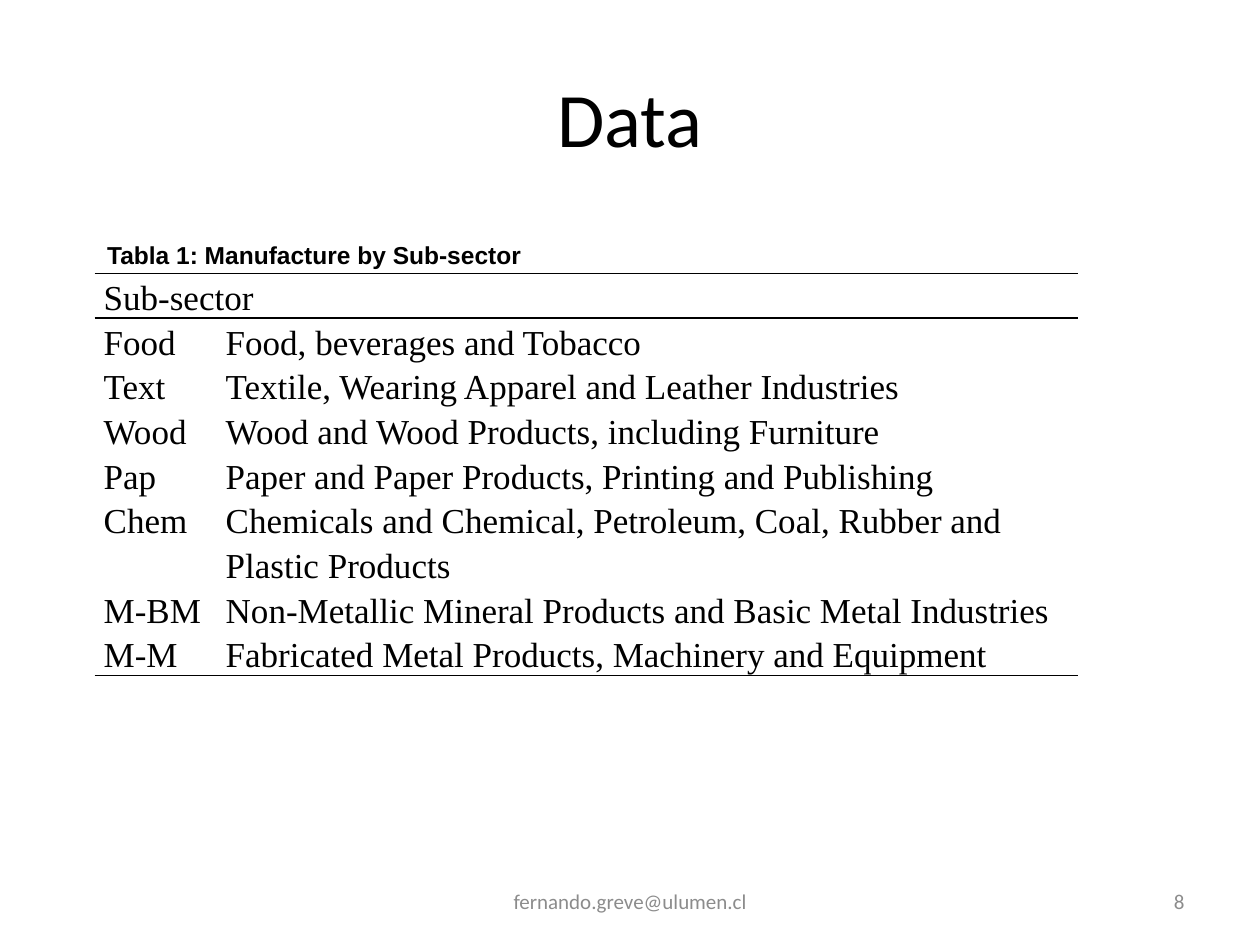
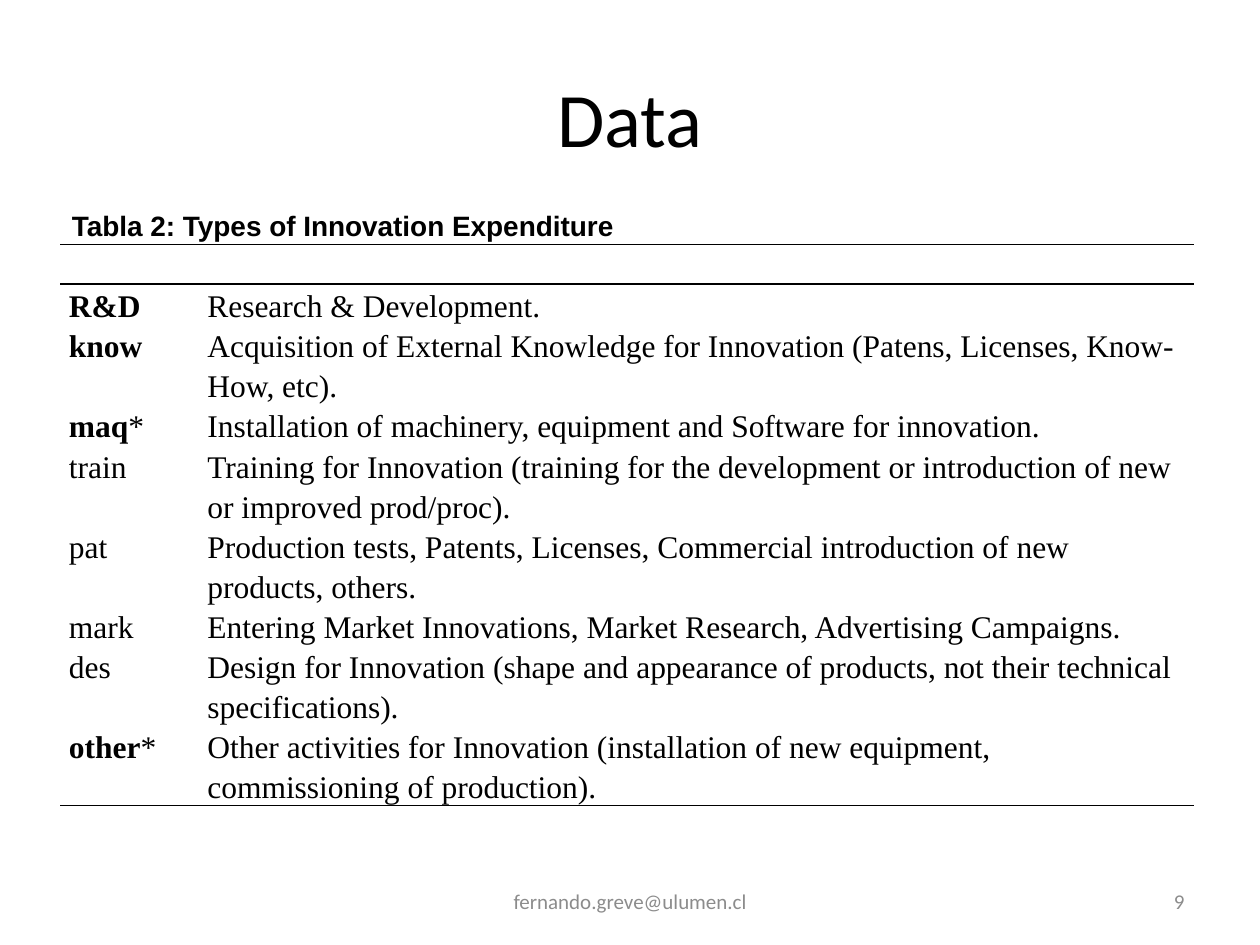
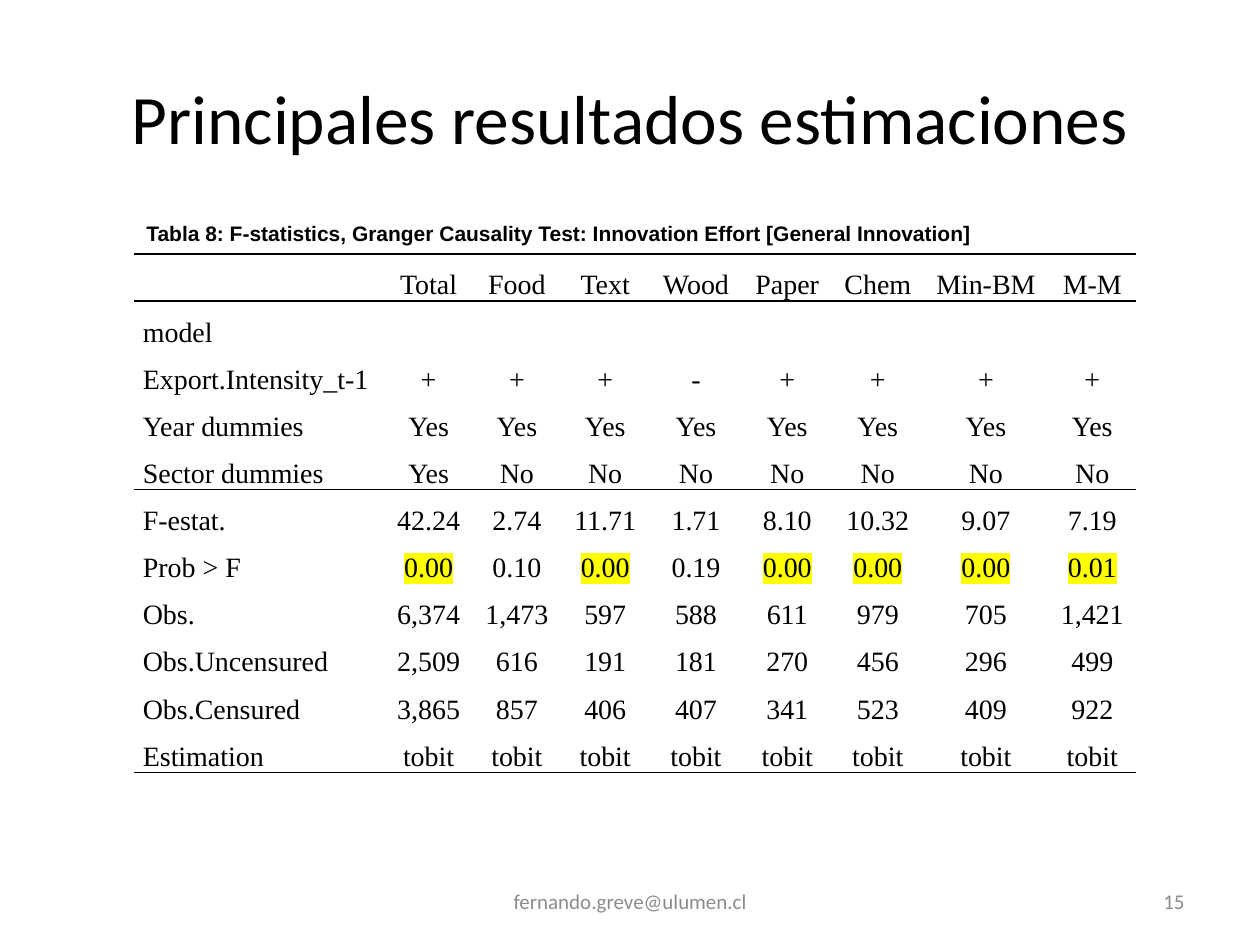
from dataclasses import dataclass
from typing import NamedTuple

from lxml import etree
from pptx import Presentation
from pptx.dml.color import RGBColor
from pptx.enum.text import MSO_ANCHOR, PP_ALIGN
from pptx.oxml.ns import qn
from pptx.util import Cm, Pt

BLACK = RGBColor(0x00, 0x00, 0x00)
GREY = RGBColor(0x8C, 0x8C, 0x8C)
YELLOW = RGBColor(0xFF, 0xFF, 0x00)
LEFT = PP_ALIGN.LEFT
CENTER = PP_ALIGN.CENTER
RIGHT = PP_ALIGN.RIGHT
JUSTIFY = PP_ALIGN.JUSTIFY
MIDDLE = MSO_ANCHOR.MIDDLE
MAIL = "fernando.greve@ulumen.cl"
INSET = Cm(0.18)
LIMIT = 0.05


class Font(NamedTuple):
    name: str
    size: float
    color: RGBColor = BLACK
    bold: bool = False


class Box(NamedTuple):
    left: float
    top: float
    width: float
    height: float


class Bit(NamedTuple):
    text: str
    bold: bool = False
    mark: bool = False


Item = tuple[Bit, ...]

TITLE = Box(1.27, 0.76, 22.86, 3.18)
FOOT = Box(8.68, 17.65, 8.05, 1.02)
NUMBER = Box(18.2, 17.65, 5.93, 1.02)
SMALL = Font("Calibri", 12, GREY)


@dataclass(frozen=True)
class Grid:
    left: float
    top: float
    widths: tuple[float, ...]
    height: float
    size: float
    pitch: float
    rules: tuple[int, ...]
    rows: list[list[Item]]
    first: PP_ALIGN = LEFT
    rest: PP_ALIGN = LEFT


@dataclass(frozen=True)
class Page:
    title: str
    number: str
    label: str
    box: Box
    size: float
    grid: Grid
    scale: float = 44


def plain(*texts: str) -> list[Item]:
    return [(Bit(text),) if text else () for text in texts]


def strong(key: str, text: str, star: str = "") -> list[Item]:
    head = (Bit(key, bold=True),) + ((Bit(star),) if star else ())
    return [head, (Bit(text),)]


def score(label: str, *values: str) -> list[Item]:
    return plain(label) + [(Bit(v, mark=float(v) < LIMIT),) for v in values]


def add_run(para, text: str, font: Font, mark: bool = False) -> None:
    run = para.add_run()
    run.text = text
    run.font.name = font.name
    run.font.size = Pt(font.size)
    run.font.bold = font.bold
    run.font.color.rgb = font.color
    if mark:
        light = etree.Element(qn("a:highlight"))
        etree.SubElement(light, qn("a:srgbClr"), val=str(YELLOW))
        run.font._element.find(qn("a:solidFill")).addnext(light)


def add_text(slide, box: Box, text: str, font: Font, align: PP_ALIGN, wrap: bool = True) -> None:
    frame = slide.shapes.add_textbox(*map(Cm, box)).text_frame
    frame.word_wrap = wrap
    frame.vertical_anchor = MIDDLE
    para = frame.paragraphs[0]
    para.alignment = align
    add_run(para, text, font)


def set_lines(cell, above: bool, below: bool) -> None:
    props = cell._tc.get_or_add_tcPr()
    sides = {"lnL": False, "lnR": False, "lnT": above, "lnB": below}
    for side, shown in sides.items():
        line = etree.SubElement(props, qn(f"a:{side}"), w=str(Pt(1)))
        if shown:
            fill = etree.SubElement(line, qn("a:solidFill"))
            etree.SubElement(fill, qn("a:srgbClr"), val=str(BLACK))
        else:
            etree.SubElement(line, qn("a:noFill"))


def fill_cell(cell, item: Item, grid: Grid, align: PP_ALIGN) -> None:
    cell.margin_left = cell.margin_right = INSET
    cell.margin_top = cell.margin_bottom = 0
    cell.fill.background()
    para = cell.text_frame.paragraphs[0]
    para.alignment = align
    para.line_spacing = Pt(grid.pitch)
    for bit in item:
        add_run(para, bit.text, Font("Times New Roman", grid.size, bold=bit.bold), bit.mark)


def add_grid(slide, grid: Grid) -> None:
    count, span = len(grid.rows), len(grid.widths)
    box = Box(grid.left, grid.top, sum(grid.widths), grid.height * count)
    table = slide.shapes.add_table(count, span, *map(Cm, box)).table
    table.first_row = table.horz_banding = False
    for col, width in zip(table.columns, grid.widths):
        col.width = Cm(width)
    for r, row in enumerate(grid.rows):
        table.rows[r].height = Cm(grid.height)
        for c in range(span):
            set_lines(table.cell(r, c), r in grid.rules, r + 1 in grid.rules)
        if len(row) < span:
            table.cell(r, 0).merge(table.cell(r, span - 1))
        for c, item in enumerate(row):
            fill_cell(table.cell(r, c), item, grid, grid.rest if c else grid.first)


def add_page(deck, page: Page) -> None:
    slide = deck.slides.add_slide(deck.slide_layouts[6])
    add_text(slide, TITLE, page.title, Font("Calibri", page.scale), CENTER)
    add_grid(slide, page.grid)
    add_text(slide, page.box, page.label, Font("Arial", page.size, bold=True), LEFT, False)
    add_text(slide, NUMBER, page.number, SMALL, RIGHT)
    add_text(slide, FOOT, MAIL, SMALL, CENTER)


SECTORS = Grid(1.91, 5.51, (2.46, 17.37), 0.89, 20, 25.5, (0, 1, 8), [
    plain("Sub-sector"),
    plain("Food", "Food, beverages and Tobacco"),
    plain("Text", "Textile, Wearing Apparel and Leather Industries"),
    plain("Wood", "Wood and Wood Products, including Furniture"),
    plain("Pap", "Paper and Paper Products, Printing and Publishing"),
    plain("Chem", "Chemicals and Chemical, Petroleum, Coal, Rubber and Plastic Products"),
    plain("M-BM", "Non-Metallic Mineral Products and Basic Metal Industries"),
    plain("M-M", "Fabricated Metal Products, Machinery and Equipment"),
])

COSTS = Grid(1.21, 4.93, (2.79, 20.07), 0.8, 18, 22.9, (0, 1, 9), [
    plain("", ""),
    strong("R&D", "Research & Development."),
    strong("know", "Acquisition of External Knowledge for Innovation "
           "(Patens, Licenses, Know-How, etc)."),
    strong("maq", "Installation of machinery, equipment and Software for innovation.", "*"),
    plain("train", "Training for Innovation (training for the development or "
          "introduction of new or improved prod/proc)."),
    plain("pat", "Production tests, Patents, Licenses, Commercial introduction of "
          "new products, others."),
    plain("mark", "Entering Market Innovations, Market Research, Advertising Campaigns."),
    plain("des", "Design for Innovation (shape and appearance of products, not their "
          "technical specifications)."),
    strong("other", "Other activities for Innovation (installation of new equipment, "
           "commissioning of production).", "*"),
])

TESTS = Grid(
    2.7, 5.12, (5.05, 1.78, 1.78, 1.78, 1.88, 1.8, 1.85, 2.51, 1.78),
    0.95, 16, 26.9, (0, 1, 5, 11), [
        plain("", "Total", "Food", "Text", "Wood", "Paper", "Chem", "Min-BM", "M-M"),
        plain("model", *[""] * 8),
        plain("Export.Intensity_t-1", *"+++-++++"),
        plain("Year dummies", *["Yes"] * 8),
        plain("Sector dummies", "Yes", *["No"] * 7),
        plain("F-estat.", "42.24", "2.74", "11.71", "1.71", "8.10", "10.32", "9.07", "7.19"),
        score("Prob > F", "0.00", "0.10", "0.00", "0.19", "0.00", "0.00", "0.00", "0.01"),
        plain("Obs.", "6,374", "1,473", "597", "588", "611", "979", "705", "1,421"),
        plain("Obs.Uncensured", "2,509", "616", "191", "181", "270", "456", "296", "499"),
        plain("Obs.Censured", "3,865", "857", "406", "407", "341", "523", "409", "922"),
        plain("Estimation", *["tobit"] * 8),
    ], JUSTIFY, CENTER)

PAGES = (
    Page("Data", "8", "Tabla 1: Manufacture by Sub-sector",
         Box(1.91, 4.7, 8.89, 0.86), 14, SECTORS),
    Page("Data", "9", "Tabla 2: Types of Innovation Expenditure",
         Box(1.2, 4.08, 11.58, 0.94), 16, COSTS),
    Page("Principales resultados estimaciones", "15",
         "Tabla 8: F-statistics, Granger Causality Test: Innovation Effort [General Innovation]",
         Box(2.7, 4.32, 17.45, 0.76), 12, TESTS, 39.6),
)


def main() -> None:
    deck = Presentation()
    deck.slide_width = Cm(25.4)
    deck.slide_height = Cm(19.05)
    for page in PAGES:
        add_page(deck, page)
    deck.save("out.pptx")


if __name__ == "__main__":
    main()
